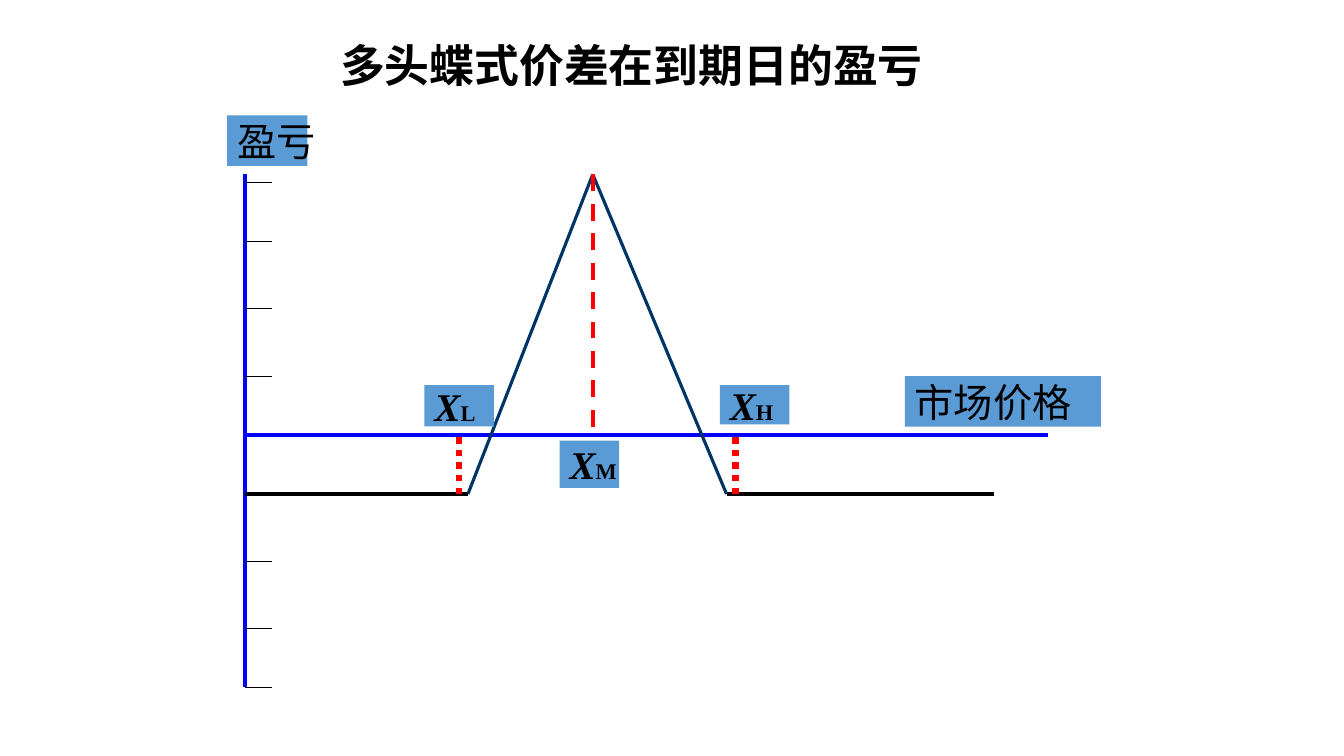
from dataclasses import dataclass

from lxml.etree import SubElement
from pptx import Presentation
from pptx.dml.color import RGBColor
from pptx.enum.dml import MSO_LINE_DASH_STYLE as Dash
from pptx.enum.shapes import MSO_CONNECTOR as Connector, MSO_SHAPE as Preset
from pptx.enum.text import MSO_ANCHOR as Anchor, MSO_AUTO_SIZE as AutoSize, PP_ALIGN as Align
from pptx.oxml.ns import qn
from pptx.slide import Slide
from pptx.text.text import TextFrame
from pptx.util import Inches, Length, Pt

BLACK = RGBColor(0x00, 0x00, 0x00)
AXIS_BLUE = RGBColor(0x00, 0x00, 0xFF)
PAYOFF_NAVY = RGBColor(0x00, 0x33, 0x66)
STRIKE_RED = RGBColor(0xFF, 0x00, 0x00)
LABEL_BLUE = RGBColor(0x5B, 0x9B, 0xD5)
CHINESE = "Noto Sans CJK SC"
LATIN = "Times New Roman"

ORIGIN_X, ORIGIN_Y = 2.43, 1.73
COLUMN, ROW = 7.96 / 90, 5.09 / 61
LOW, PEAK, HIGH = 25, 39, 54
ZERO, LOSS, BOTTOM = 31, 38, 61
TICK_ROWS = (1, 8, 16, 24, 38, 46, 54, 61)
TICK_LENGTH = 3


@dataclass(frozen=True)
class Segment:
    start: tuple[float, float]
    end: tuple[float, float]
    color: RGBColor
    weight: float
    dash: Dash | None = None


@dataclass(frozen=True)
class Label:
    text: str
    column: float
    row: float
    columns: float
    rows: float
    subscript: str = ""


AXES_AND_PAYOFF = (
    Segment((0, 0), (0, BOTTOM), AXIS_BLUE, 3),
    Segment((0, ZERO), (90, ZERO), AXIS_BLUE, 3),
    Segment((0, LOSS), (LOW, LOSS), BLACK, 3),
    Segment((HIGH, LOSS), (84, LOSS), BLACK, 3),
    Segment((LOW, LOSS), (PEAK, 0), PAYOFF_NAVY, 2.25),
    Segment((PEAK, 0), (HIGH, LOSS), PAYOFF_NAVY, 2.25),
    Segment((PEAK, 0), (PEAK, ZERO), STRIKE_RED, 3, Dash.DASH),
)
LABELS = (
    Label("X", 35.28, 31.64, 6.67, 5.63, "M"),
    Label("X", 53.25, 25.05, 7.8, 4.67, "H"),
    Label("X", 20.13, 25.05, 7.8, 4.91, "L"),
    Label("市场价格", 74, 24, 22, 6),
    Label("盈亏", -2, -7, 9, 6),
)
TICKS = tuple(
    Segment((start, row), (start + TICK_LENGTH, row), BLACK, 0.75)
    for start, row in [(0, row) for row in TICK_ROWS] + [(LOW - TICK_LENGTH, LOSS)]
)
STRIKE_DROPS = tuple(
    Segment((column, LOSS), (column, ZERO), STRIKE_RED, 4.5, Dash.ROUND_DOT)
    for column in (LOW - 1, HIGH + 1)
)


def grid_x(column: float) -> Length:
    return Inches(ORIGIN_X + column * COLUMN)


def grid_y(row: float) -> Length:
    return Inches(ORIGIN_Y + row * ROW)


def write(frame: TextFrame, text: str, *, size: float, font: str = CHINESE,
          bold: bool = False, italic: bool = False) -> None:
    run = frame.paragraphs[0].add_run()
    run.text = text
    run.font.size = Pt(size)
    run.font.bold = bold
    run.font.italic = italic
    run.font.color.rgb = BLACK
    run.font.name = font
    SubElement(run.font._element, qn("a:ea"), typeface=font)


def draw_segment(slide: Slide, segment: Segment) -> None:
    (x1, y1), (x2, y2) = segment.start, segment.end
    stroke = slide.shapes.add_connector(
        Connector.STRAIGHT, grid_x(x1), grid_y(y1), grid_x(x2), grid_y(y2))
    stroke.line.color.rgb = segment.color
    stroke.line.width = Pt(segment.weight)
    if segment.dash is not None:
        stroke.line.dash_style = segment.dash
    SubElement(stroke._element.spPr, qn("a:effectLst"))


def draw_label(slide: Slide, label: Label) -> None:
    box = slide.shapes.add_shape(
        Preset.RECTANGLE, grid_x(label.column), grid_y(label.row),
        Inches(label.columns * COLUMN), Inches(label.rows * ROW))
    box.shadow.inherit = False
    box.fill.solid()
    box.fill.fore_color.rgb = LABEL_BLUE
    box.line.fill.background()
    frame = box.text_frame
    frame.word_wrap = False
    frame.vertical_anchor = Anchor.MIDDLE
    frame.paragraphs[0].alignment = Align.LEFT
    if label.subscript:
        write(frame, label.text, size=28, font=LATIN, bold=True, italic=True)
        write(frame, label.subscript, size=16, font=LATIN, bold=True)
    else:
        write(frame, label.text, size=28)


def place_title(slide: Slide, text: str) -> None:
    title = slide.shapes.title
    title.left, title.top = Inches(2.18), Inches(0.36)
    title.width, title.height = Inches(8.17), Inches(0.63)
    frame = title.text_frame
    frame.auto_size = AutoSize.NONE
    frame.vertical_anchor = Anchor.MIDDLE
    frame.paragraphs[0].alignment = Align.CENTER
    frame.paragraphs[0].line_spacing = 0.9
    write(frame, text, size=32, bold=True)


def main() -> None:
    deck = Presentation()
    deck.slide_width, deck.slide_height = Inches(13.33), Inches(7.5)
    slide = deck.slides.add_slide(deck.slide_layouts.get_by_name("Title Only"))
    place_title(slide, "多头蝶式价差在到期日的盈亏")
    for segment in AXES_AND_PAYOFF:
        draw_segment(slide, segment)
    for label in LABELS:
        draw_label(slide, label)
    for segment in TICKS + STRIKE_DROPS:
        draw_segment(slide, segment)
    deck.save("out.pptx")


if __name__ == "__main__":
    main()
